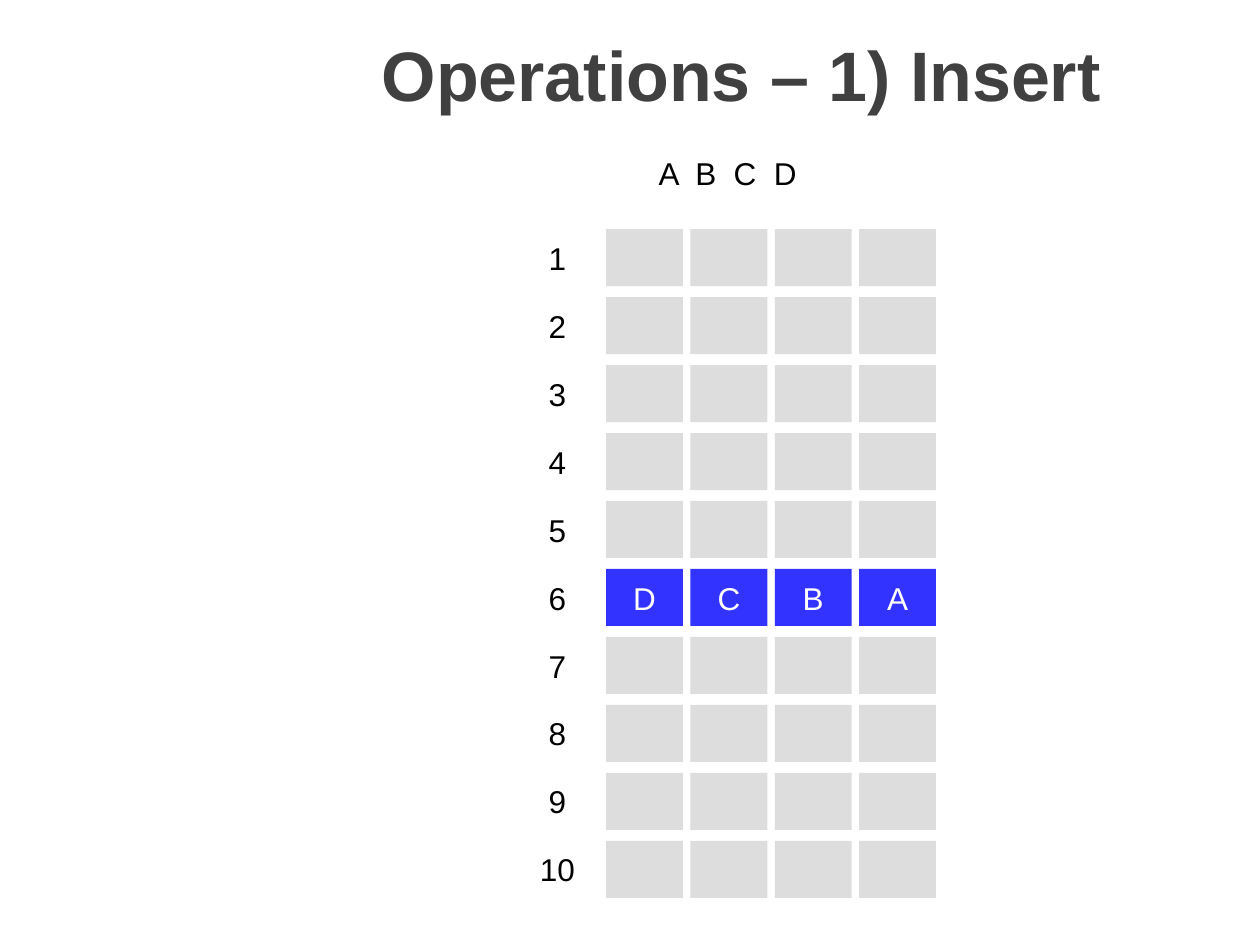
from pptx import Presentation
from pptx.dml.color import RGBColor
from pptx.enum.shapes import MSO_SHAPE
from pptx.enum.text import MSO_ANCHOR, PP_ALIGN
from pptx.util import Cm, Pt

RECTANGLE = MSO_SHAPE.RECTANGLE
MIDDLE = MSO_ANCHOR.MIDDLE
CENTER = PP_ALIGN.CENTER

COLORS = {
    "title": "404040",
    "text": "000000",
    "paper": "FFFFFF",
    "empty": "DDDDDD",
    "filled": "3333FF",
}

ROW_COUNT = 10
INSERT_ROW = 6
INSERTED = "DCBA"
CELL_WIDTH, CELL_HEIGHT = 1.55, 1.15
GRID_LEFT, GRID_TOP = 12.22, 4.62
COLUMN_STEP, ROW_STEP = 1.7, 1.37
NUMBER_LEFT = 10.46


class SlideBuilder:
    font = "Arial"
    title_size = 40
    body_size = 18

    def __init__(self, slide):
        self.slide = slide

    def color(self, name):
        return RGBColor.from_string(COLORS[name])

    def label(self, shape, text, size, color, bold=False):
        frame = shape.text_frame
        frame.word_wrap = True
        frame.vertical_anchor = MIDDLE
        paragraph = frame.paragraphs[0]
        paragraph.alignment = CENTER
        run = paragraph.add_run()
        run.text = text
        run.font.name = self.font
        run.font.size = Pt(size)
        run.font.bold = bold
        run.font.color.rgb = self.color(color)

    def title(self, text, left, top, width, height):
        heading = self.slide.shapes.title
        heading.left, heading.top = Cm(left), Cm(top)
        heading.width, heading.height = Cm(width), Cm(height)
        self.label(heading, text, self.title_size, "title", bold=True)

    def box(self, left, top, width, height, fill, text="", color="text"):
        box = self.slide.shapes.add_shape(
            RECTANGLE, Cm(left), Cm(top), Cm(width), Cm(height))
        box.shadow.inherit = False
        box.fill.solid()
        box.fill.fore_color.rgb = self.color(fill)
        box.line.fill.background()
        if text:
            self.label(box, text, self.body_size, color)


def main():
    deck = Presentation()
    deck.slide_width, deck.slide_height = Cm(25.4), Cm(19.05)
    builder = SlideBuilder(deck.slides.add_slide(deck.slide_layouts[5]))

    builder.title("Operations – 1) Insert", 4.5, 0, 20.88, 2.97)
    builder.box(8.94, 2.92, 11.46, CELL_HEIGHT, "paper", "A  B  C  D")

    for row in range(1, ROW_COUNT + 1):
        top = GRID_TOP + (row - 1) * ROW_STEP
        builder.box(NUMBER_LEFT, top, CELL_WIDTH, CELL_HEIGHT, "paper", str(row))
        for column, letter in enumerate(INSERTED):
            left = GRID_LEFT + column * COLUMN_STEP
            if row == INSERT_ROW:
                builder.box(left, top, CELL_WIDTH, CELL_HEIGHT, "filled", letter, "paper")
            else:
                builder.box(left, top, CELL_WIDTH, CELL_HEIGHT, "empty")

    deck.save("out.pptx")


if __name__ == "__main__":
    main()
